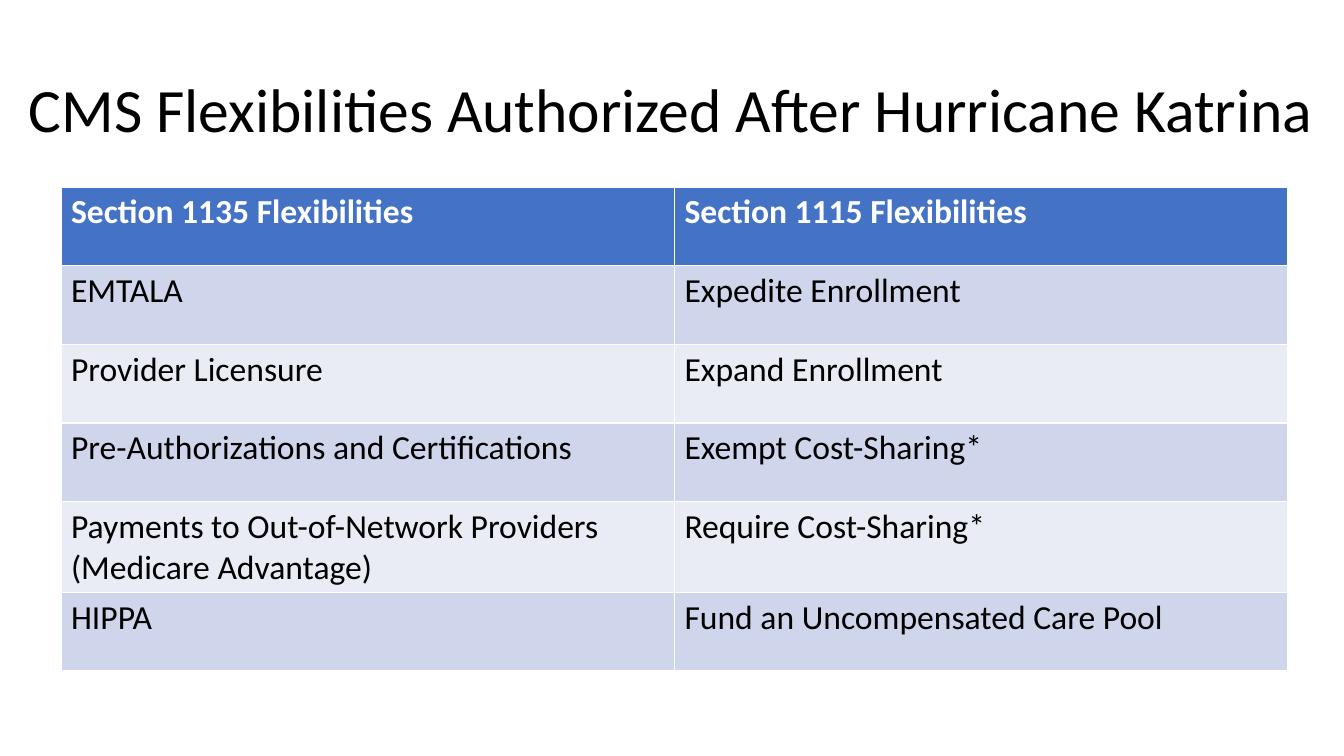
"""Build a slide with a table of CMS flexibilities authorized after Hurricane Katrina."""
from pptx import Presentation
from pptx import util as u
from pptx.dml.color import RGBColor
from pptx.enum import text

TITLE = "CMS Flexibilities Authorized After Hurricane Katrina"
ROWS = [
    ("Section 1135 Flexibilities", "Section 1115 Flexibilities"),
    ("EMTALA", "Expedite Enrollment"),
    ("Provider Licensure", "Expand Enrollment"),
    ("Pre-Authorizations and Certifications", "Exempt Cost-Sharing*"),
    ("Payments to Out-of-Network Providers (Medicare Advantage)", "Require Cost-Sharing*"),
    ("HIPPA", "Fund an Uncompensated Care Pool"),
]
SLIDE_SIZE = (1344, 756)
TITLE_BOX = (19, 40, 1312, 146)
TABLE_BOX = (61, 187, 1227, 472)

FONT = "Calibri"
BLACK = RGBColor(0x00, 0x00, 0x00)
WHITE = RGBColor(0xFF, 0xFF, 0xFF)
HEADER = RGBColor(0x44, 0x72, 0xC4)
BANDS = (RGBColor(0xE9, 0xEB, 0xF5), RGBColor(0xCF, 0xD5, 0xEA))


def px(*lengths):
    """Turn pixel lengths into EMU."""
    return [u.Inches(n / 100.8) for n in lengths]


def write(tf, words, size, color, bold=False):
    """Put one styled paragraph into a text frame."""
    p = tf.paragraphs[0]
    p.text = words
    p.font.name, p.font.size, p.font.bold = FONT, u.Pt(size), bold
    p.font.color.rgb = color
    return p


def main():
    """Draw the title and the table, then save."""
    prs = Presentation()
    prs.slide_width, prs.slide_height = px(*SLIDE_SIZE)
    s = prs.slides.add_slide(prs.slide_layouts[6])

    tf = s.shapes.add_textbox(*px(*TITLE_BOX)).text_frame
    tf.word_wrap = True
    tf.vertical_anchor = text.MSO_ANCHOR.MIDDLE
    write(tf, TITLE, 44, BLACK).line_spacing = 0.9

    table = s.shapes.add_table(len(ROWS), len(ROWS[0]), *px(*TABLE_BOX)).table
    for i, row in enumerate(ROWS):
        header = i == 0
        for j, words in enumerate(row):
            cell = table.cell(i, j)
            cell.fill.solid()
            cell.fill.fore_color.rgb = HEADER if header else BANDS[i % 2]
            write(cell.text_frame, words, 24, WHITE if header else BLACK, header)

    prs.save("out.pptx")


if __name__ == "__main__":
    main()
